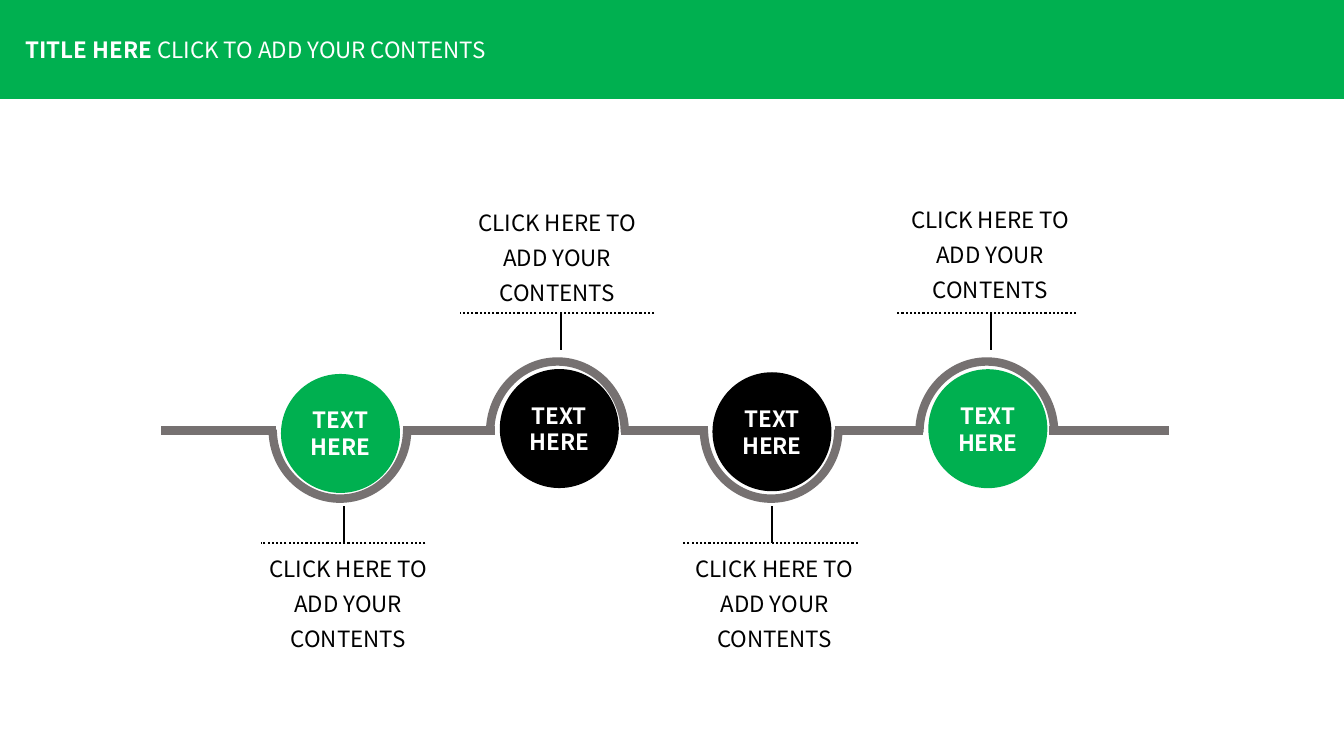
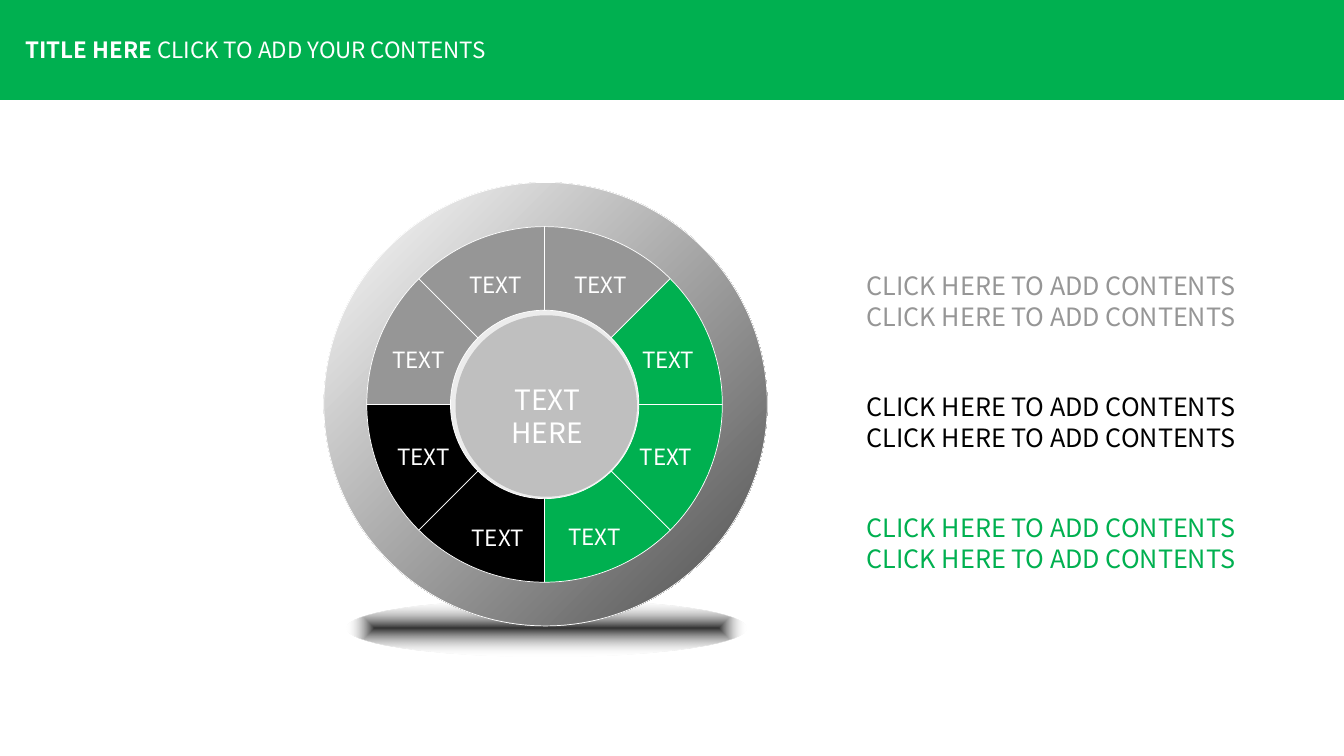
"""Build a two-slide deck: a four-step timeline and an eight-part wheel."""
from dataclasses import dataclass
from math import cos, radians, sin, tan

from lxml import etree
from pptx import Presentation
from pptx.dml.color import RGBColor
from pptx.enum import dml, shapes, text
from pptx.oxml.ns import qn
from pptx.util import Pt

GREEN = RGBColor(0x00, 0xB0, 0x50)
BLACK = RGBColor(0x00, 0x00, 0x00)
WHITE = RGBColor(0xFF, 0xFF, 0xFF)
TRACK = RGBColor(0x76, 0x71, 0x71)
GRAY = RGBColor(0x96, 0x96, 0x96)
HUB_RIM = RGBColor(0xEC, 0xEC, 0xEC)
HUB = RGBColor(0xBF, 0xBF, 0xBF)
RING_DARK = RGBColor(0x4D, 0x4D, 0x4D)
SHADE = RGBColor(0x33, 0x33, 0x33)
FONT = "Noto Sans CJK SC"

TRACK_Y = 307.4
TRACK_SPANS = [(115.2, 197.3), (288, 353.5), (443.5, 505.4), (596.2, 659.5), (749.5, 835.2)]
DISC = 85
CAPTION_H = 82.8
WHEEL_X, WHEEL_Y, WHEEL_R = 389, 288.9, 127

Point = tuple[float, float]


@dataclass
class Step:
    color: RGBColor
    up: bool
    arc_x: float
    disc_x: float
    disc_y: float
    tick_x: float
    rule: Point
    caption_x: float
    caption_y: float
    caption_w: float


@dataclass
class Wedge:
    color: RGBColor
    label_x: float
    label_y: float
    plate: bool = False


STEPS = [
    Step(GREEN, False, 242.8, 243.2, 309.6, 245.5, (186.5, 303.8), 180.7, 387.4, 136),
    Step(BLACK, True, 398.2, 399.5, 306.1, 401, (328.3, 467.3), 328.2, 140, 139.7),
    Step(BLACK, False, 550.8, 551.4, 308.4, 551.5, (487.7, 612.7), 487.7, 387.4, 131),
    Step(GREEN, True, 704.9, 705.6, 306.2, 707.8, (640.2, 768.6), 639.6, 138.2, 135.4),
]
WEDGES = [
    Wedge(GREEN, 450, 312.8, True),
    Wedge(GREEN, 398.9, 370.1, True),
    Wedge(BLACK, 329.8, 370.8, True),
    Wedge(BLACK, 276.8, 312.8),
    Wedge(GRAY, 273.2, 243.8),
    Wedge(GRAY, 328.3, 190.1),
    Wedge(GRAY, 403.2, 190.1),
    Wedge(GREEN, 451.6, 243.8, True),
]


def style_font(p, size: float, color: RGBColor, bold: bool | None = None) -> None:
    """Set the font of a whole paragraph."""
    f = p.font
    f.name, f.size, f.bold = FONT, Pt(size), bold
    f.color.rgb = color


def set_line(sp, color: RGBColor | None, width: float = 0.5) -> None:
    """Outline a shape, or remove its outline."""
    if color is None:
        sp.line.fill.background()
    else:
        sp.line.color.rgb = color
        sp.line.width = Pt(width)


def set_fill(sp, color: RGBColor | None) -> None:
    """Fill a shape, or leave it clear."""
    if color is None:
        sp.fill.background()
    else:
        sp.fill.solid()
        sp.fill.fore_color.rgb = color


def grow_frame(sp):
    """Make a shape wrap and fit its text, and return its text frame."""
    tf = sp.text_frame
    tf.word_wrap = True
    tf.auto_size = text.MSO_AUTO_SIZE.SHAPE_TO_FIT_TEXT
    tf.vertical_anchor = text.MSO_ANCHOR.TOP
    return tf


def add_box(s, x: float, y: float, w: float, h: float):
    """Add a text box and return its text frame."""
    return grow_frame(s.shapes.add_textbox(Pt(x), Pt(y), Pt(w), Pt(h)))


def write(tf, words: str, size: float, color: RGBColor, align=text.PP_ALIGN.CENTER,
          spacing: float | None = None, bold: bool | None = None) -> None:
    """Fill a text frame with one paragraph."""
    p = tf.paragraphs[0]
    p.text, p.alignment = words, align
    if spacing is not None:
        p.line_spacing = spacing
    style_font(p, size, color, bold)


def add_preset(s, kind, x: float, y: float, w: float, h: float,
               fill: RGBColor | None = None, line: RGBColor | None = None):
    """Add a flat preset shape."""
    sp = s.shapes.add_shape(kind, Pt(x), Pt(y), Pt(w), Pt(h))
    sp.shadow.inherit = False
    set_fill(sp, fill)
    set_line(sp, line)
    return sp


def add_ellipse(s, x: float, y: float, w: float, h: float,
                fill: RGBColor | None = None, line: RGBColor | None = None):
    """Add a flat ellipse."""
    return add_preset(s, shapes.MSO_SHAPE.OVAL, x, y, w, h, fill, line)


def add_line(s, x1: float, y1: float, x2: float, y2: float,
             color: RGBColor, width: float, dash=None) -> None:
    """Add a straight line without shadow."""
    c = s.shapes.add_connector(shapes.MSO_CONNECTOR.STRAIGHT, Pt(x1), Pt(y1), Pt(x2), Pt(y2))
    set_line(c, color, width)
    if dash is not None:
        c.line.dash_style = dash
    etree.SubElement(c._element.spPr, qn("a:effectLst"))


def arc_points(x: float, y: float, rx: float, ry: float,
               start: int, sweep: int, curves: int) -> list[Point]:
    """Return the start point and the Bezier points of a clockwise arc."""
    turn = radians(sweep / curves)
    k = 4 / 3 * tan(turn / 4)
    points = [(x + rx * cos(radians(start)), y + ry * sin(radians(start)))]
    for i in range(curves):
        a = radians(start) + i * turn
        b = a + turn
        points += [(x + rx * (cos(a) - k * sin(a)), y + ry * (sin(a) + k * cos(a))),
                   (x + rx * (cos(b) + k * sin(b)), y + ry * (sin(b) - k * cos(b))),
                   (x + rx * cos(b), y + ry * sin(b))]
    return points


def add_curve(s, points: list[Point], curves: int, fill: RGBColor | None,
              line: RGBColor, width: float) -> None:
    """Add a freeform that opens with Bezier curves, closed when filled."""
    first, *rest = [(Pt(x), Pt(y)) for x, y in points]
    fb = s.shapes.build_freeform(*first)
    fb.add_line_segments(rest, close=fill is not None)
    sp = fb.convert_to_shape()
    sp.shadow.inherit = False
    set_fill(sp, fill)
    set_line(sp, line, width)
    outline = sp._element.find(".//" + qn("a:path"))
    parts = outline.findall(qn("a:lnTo"))
    for i in range(0, 3 * curves, 3):
        bezier = etree.Element(qn("a:cubicBezTo"))
        outline.replace(parts[i], bezier)
        for part in parts[i:i + 3]:
            bezier.append(part[0])
        for part in parts[i + 1:i + 3]:
            outline.remove(part)


def set_gradient(sp, first: RGBColor, last: RGBColor) -> None:
    """Fill a shape with a two-stop gradient towards the lower right."""
    sp.fill.gradient()
    sp.fill.gradient_angle = 315
    for stop, color in zip(sp.fill.gradient_stops, (first, last)):
        stop.color.rgb = color


def fade_outwards(sp) -> None:
    """Turn a gradient into one that fades from the centre to clear."""
    grad = sp._element.spPr.find(qn("a:gradFill"))
    grad.remove(grad.find(qn("a:lin")))
    centre = etree.SubElement(grad, qn("a:path"), {"path": "shape"})
    etree.SubElement(centre, qn("a:fillToRect"), dict.fromkeys("ltrb", "50000"))
    outer = grad.findall(".//" + qn("a:srgbClr"))[-1]
    etree.SubElement(outer, qn("a:alpha"), {"val": "0"})


def add_slide(prs, band_line: RGBColor | None = None):
    """Add a blank slide with the title band."""
    s = prs.slides.add_slide(prs.slide_layouts[6])
    band = add_preset(s, shapes.MSO_SHAPE.RECTANGLE, 0, 0, 961, 70.7, GREEN)
    set_line(band, band_line, 1)
    p = add_box(s, 11.2, 22.3, 378, 26.6).paragraphs[0]
    style_font(p, 16, WHITE)
    for words, bold in (("TITLE HERE ", True), ("CLICK TO ADD YOUR CONTENTS", False)):
        r = p.add_run()
        r.text, r.font.bold = words, bold
    return s


def add_callout(s, step: Step) -> None:
    """Draw the tick, rule and caption of one step."""
    rule_y, tick_y = (223.5, 249.8) if step.up else (387.8, 361.4)
    add_line(s, step.tick_x, rule_y, step.tick_x, tick_y, BLACK, 1.5)
    add_line(s, step.rule[1], rule_y, step.rule[0], rule_y, BLACK, 1.5, dml.MSO_LINE.ROUND_DOT)
    tf = add_box(s, step.caption_x, step.caption_y, step.caption_w, CAPTION_H)
    write(tf, "CLICK HERE TO ADD YOUR CONTENTS", 16, BLACK, spacing=1.3)


def add_arc(s, step: Step) -> None:
    """Draw the half ring of one step."""
    y, rx, ry, start = (308.8, 48.1, 50.6, 180) if step.up else (307, 48, 49.2, 0)
    add_curve(s, arc_points(step.arc_x, y, rx, ry, start, 180, 2), 2, None, TRACK, 6)


def add_disc(s, step: Step) -> None:
    """Draw the labelled disc of one step."""
    sp = add_ellipse(s, step.disc_x - DISC / 2, step.disc_y - DISC / 2, DISC, DISC, step.color)
    sp.text_frame.vertical_anchor = text.MSO_ANCHOR.MIDDLE
    write(sp.text_frame, "TEXT\vHERE", 16, WHITE, bold=True)


def build_timeline(prs) -> None:
    """Build the timeline slide."""
    s = add_slide(prs)
    for step in STEPS:
        add_callout(s, step)
    for x1, x2 in TRACK_SPANS:
        add_line(s, x1, TRACK_Y, x2, TRACK_Y, TRACK, 6)
    for draw in (add_arc, add_disc):
        for step in STEPS:
            draw(s, step)


def add_wedge(s, wedge: Wedge, start: int) -> None:
    """Draw one eighth of the wheel with its label."""
    rim = arc_points(WHEEL_X, WHEEL_Y, WHEEL_R, WHEEL_R, start, 45, 1)
    add_curve(s, [*rim, (WHEEL_X, WHEEL_Y)], 1, wedge.color, WHITE, 0.5)
    at = (wedge.label_x, wedge.label_y, 55.4, 26.6)
    if wedge.plate:
        tf = grow_frame(add_preset(s, shapes.MSO_SHAPE.RECTANGLE, *at, wedge.color))
    else:
        tf = add_box(s, *at)
    write(tf, "TEXT", 16, WHITE, text.PP_ALIGN.LEFT)


def build_wheel(prs) -> None:
    """Build the wheel slide."""
    s = add_slide(prs, GREEN)
    shade = add_ellipse(s, 247.7, 428.4, 285.8, 40.3)
    set_gradient(shade, SHADE, WHITE)
    fade_outwards(shade)
    set_gradient(add_ellipse(s, 231.3, 130.3, 316.8, 316.8, line=WHITE), WHITE, RING_DARK)
    for i, wedge in enumerate(WEDGES):
        add_wedge(s, wedge, 45 * i)

    tf = add_box(s, 612, 168.5, 323.3, 247)
    tf.margin_top = Pt(24.9)
    for i in range(6):
        p = tf.add_paragraph() if i else tf.paragraphs[0]
        p.text = "CLICK HERE TO ADD CONTENTS"
        style_font(p, 18, (GRAY, BLACK, GREEN)[i // 2])
        if i in (2, 4):
            p.space_before = Pt(43.2)

    add_ellipse(s, 321.8, 221.6, 134.6, 134.6, HUB_RIM, WHITE)
    add_ellipse(s, 325.4, 225.2, 129.6, 129.6, HUB)
    tf = add_box(s, 333.6, 269.6, 114.5, 55.4)
    tf.margin_left = tf.margin_right = Pt(12)
    write(tf, "TEXT HERE", 20, WHITE)


def main() -> None:
    """Build and save the deck."""
    prs = Presentation()
    prs.slide_width, prs.slide_height = Pt(960), Pt(540)
    build_timeline(prs)
    build_wheel(prs)
    prs.save("out.pptx")


if __name__ == "__main__":
    main()
